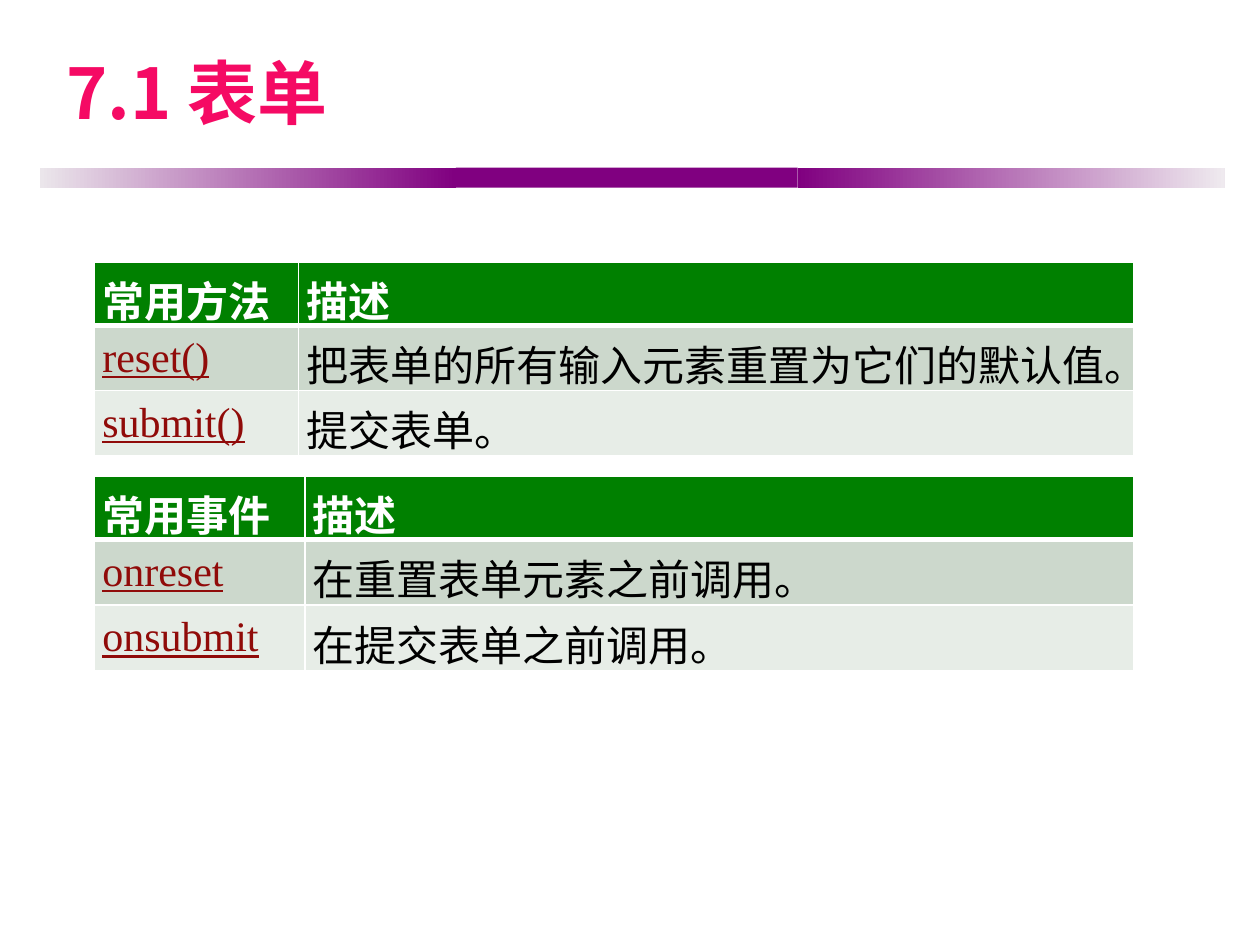
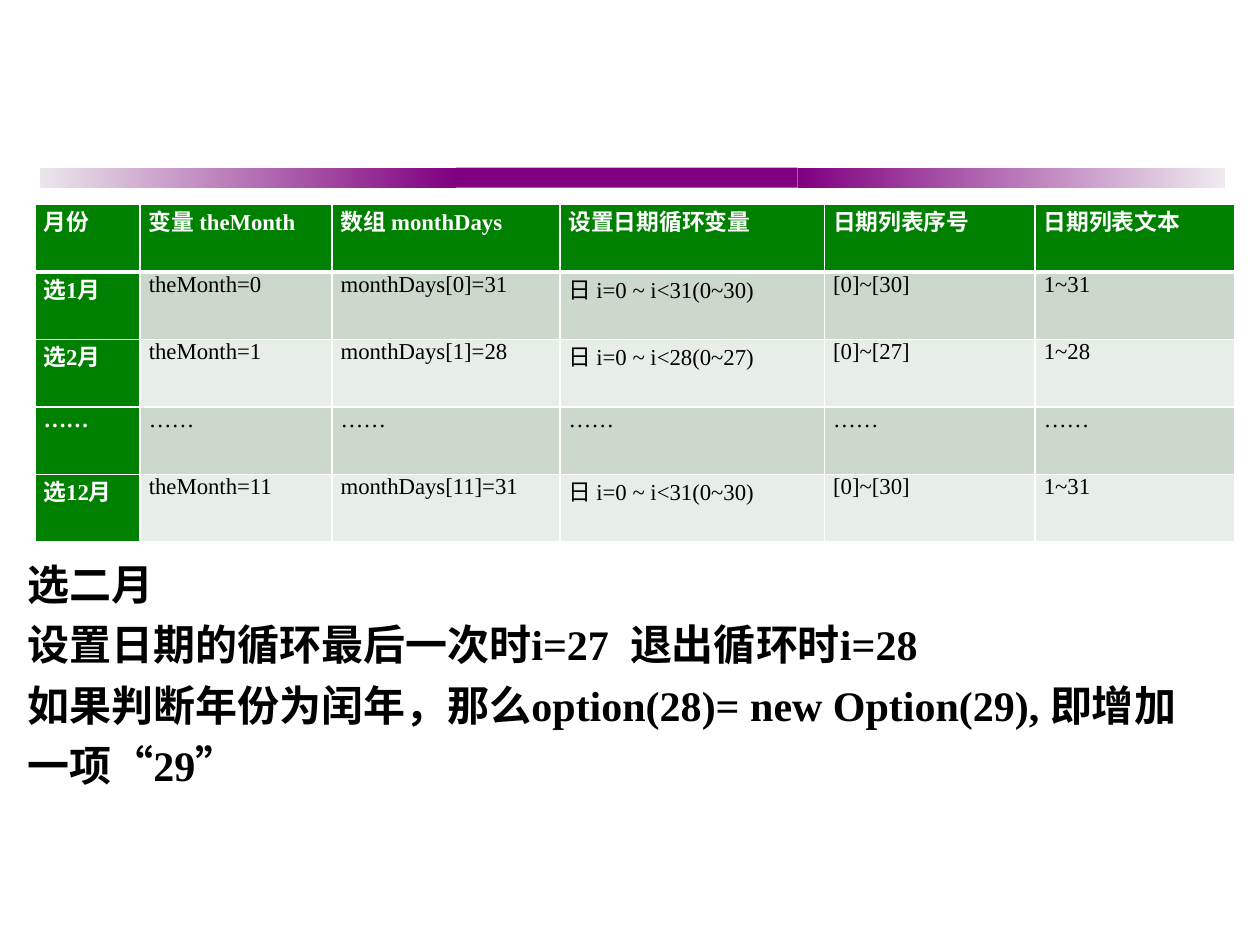
from dataclasses import dataclass

from lxml import etree
from pptx import Presentation
from pptx.dml.color import RGBColor as RGB
from pptx.enum.shapes import MSO_SHAPE as Shape
from pptx.enum.text import MSO_ANCHOR as Anchor, MSO_AUTO_SIZE as Auto, PP_ALIGN as Align
from pptx.oxml.ns import qn
from pptx.util import Pt


@dataclass(frozen=True)
class Theme:
    white: str = "FFFFFF"
    black: str = "000000"
    pink: str = "F50A64"
    purple: str = "800080"
    left_fade: str = "EBE6EB"
    right_fade: str = "EFEAEF"
    green: str = "008000"
    link: str = "900B09"
    stripes: tuple = ("CCD8CC", "E7EDE7")
    title: float = 40
    body: float = 24
    small: float = 13
    sans: str = "Noto Sans CJK SC"
    serif: str = "Times New Roman"
    lines: float = 1.2


@dataclass(frozen=True)
class Look:
    """How a table is set: paddings are left, right, head row, body rows."""
    size: float
    height: float
    pads: tuple
    anchor: Anchor
    align: Align
    links: bool


THEME = Theme()
API = Look(THEME.body, 29.5, (4.5, 11.5, 3.6, 4.3), Anchor.MIDDLE, Align.LEFT, True)
GRID = Look(THEME.small, 38.6, (5, 5, 0, 0), Anchor.TOP, Align.JUSTIFY, False)


class Deck:
    def __init__(self, theme):
        self.theme = theme
        self.show = Presentation()
        self.show.slide_width, self.show.slide_height = Pt(720), Pt(540)
        self.slide = None

    def page(self):
        self.slide = self.show.slides.add_slide(self.show.slide_layouts[6])
        self.band()

    def band(self):
        t = self.theme
        edges = (23, 260.6, 455.8, 699.8)
        shades = ((t.left_fade, t.purple), (t.purple,), (t.purple, t.right_fade))
        for left, right, shade in zip(edges, edges[1:], shades):
            bar = self.slide.shapes.add_shape(
                Shape.RECTANGLE, Pt(left), Pt(95.8), Pt(right - left), Pt(11.5))
            bar.shadow.inherit = False
            bar.line.fill.background()
            if len(shade) == 1:
                bar.fill.solid()
                bar.fill.fore_color.rgb = RGB.from_string(shade[0])
                continue
            bar.fill.gradient()
            bar.fill.gradient_angle = 0
            for stop, color in zip(bar.fill.gradient_stops, shade):
                stop.color.rgb = RGB.from_string(color)

    def style(self, para, size, color, bold=False, under=False, face=None):
        for run in para.runs:
            font = run.font
            font.size, font.bold, font.underline = Pt(size), bold, under
            font.color.rgb = RGB.from_string(color)
            font.name = face or self.theme.serif
            asian = etree.SubElement(font._element, qn("a:ea"))
            asian.set("typeface", self.theme.sans)

    def box(self, left, top, width, height, text):
        shape = self.slide.shapes.add_textbox(Pt(left), Pt(top), Pt(width), Pt(height))
        frame = shape.text_frame
        frame.word_wrap = True
        frame.text = text
        return frame

    def title(self, text):
        frame = self.box(31, 12.2, 652.3, 80, text)
        frame.vertical_anchor = Anchor.MIDDLE
        t = self.theme
        self.style(frame.paragraphs[0], t.title, t.pink, bold=True, face=t.sans)

    def note(self, left, top, width, height, lines):
        frame = self.box(left, top, width, height, "\n".join(lines))
        frame.auto_size = Auto.SHAPE_TO_FIT_TEXT
        for para in frame.paragraphs:
            para.line_spacing = self.theme.lines
            self.style(para, self.theme.body, self.theme.black, bold=True)

    def edge(self, cell, row):
        """Draw white borders, with a thick rule below the head row."""
        sides = {"L": 1, "R": 1, "T": 3 if row == 1 else 1, "B": 3 if row == 0 else 1}
        props = cell._tc.get_or_add_tcPr()
        for spot, (side, width) in enumerate(sides.items()):
            line = etree.Element(qn(f"a:ln{side}"), w=str(Pt(width)))
            fill = etree.SubElement(line, qn("a:solidFill"))
            etree.SubElement(fill, qn("a:srgbClr"), val=self.theme.white)
            props.insert(spot, line)

    def cell(self, cell, text, row, col, look):
        t = self.theme
        head = row == 0 or (col == 0 and not look.links)
        link = look.links and col == 0 and not head
        left, right, *tall = look.pads
        cell.margin_left, cell.margin_right = Pt(left), Pt(right)
        cell.margin_top = cell.margin_bottom = Pt(tall[row > 0])
        cell.vertical_anchor = look.anchor
        cell.fill.solid()
        cell.fill.fore_color.rgb = RGB.from_string(t.green if head else t.stripes[(row - 1) % 2])
        self.edge(cell, row)
        cell.text_frame.text = text
        para = cell.text_frame.paragraphs[0]
        para.alignment = look.align
        color = t.white if head else t.link if link else t.black
        self.style(para, look.size, color, bold=head, under=link)

    def table(self, left, top, widths, rows, look):
        frame = self.slide.shapes.add_table(
            len(rows), len(widths), Pt(left), Pt(top),
            Pt(sum(widths)), Pt(look.height * len(rows)))
        table = frame.table
        for col, width in zip(table.columns, widths):
            col.width = Pt(width)
        for r, row in enumerate(rows):
            table.rows[r].height = Pt(look.height)
            for c, text in enumerate(row):
                self.cell(table.cell(r, c), text, r, c, look)


def form_page(deck):
    deck.page()
    deck.title("7.1 表单")
    deck.table(54, 149.8, (116.6, 477.4), (
        ("常用方法", "描述"),
        ("reset()", "把表单的所有输入元素重置为它们的默认值。"),
        ("submit()", "提交表单。"),
    ), API)
    deck.table(54, 272.2, (120.2, 473.8), (
        ("常用事件", "描述"),
        ("onreset", "在重置表单元素之前调用。"),
        ("onsubmit", "在提交表单之前调用。"),
    ), API)


def month(num, days):
    last = days - 1
    return (f"选{num}月", f"theMonth={num - 1}", f"monthDays[{num - 1}]={days}",
            f"日 i=0 ~ i<{days}(0~{last})", f"[0]~[{last}]", f"1~{days}")


def month_page(deck):
    deck.page()
    heads = ("月份", "变量 theMonth", "数组 monthDays",
             "设置日期循环变量", "日期列表序号", "日期列表文本")
    rows = (heads, month(1, 31), month(2, 28), ("……",) * len(heads), month(12, 31))
    deck.table(19.9, 116.9, (60.2, 109.6, 130.3, 151.2, 120.4, 114.3), rows, GRID)
    deck.note(8.6, 309.6, 692, 181.4, (
        "选二月",
        "设置日期的循环最后一次时i=27  退出循环时i=28",
        "如果判断年份为闰年，那么option(28)= new Option(29), 即增加一项“29”",
    ))


def main():
    deck = Deck(THEME)
    form_page(deck)
    month_page(deck)
    deck.show.save("out.pptx")


if __name__ == "__main__":
    main()
